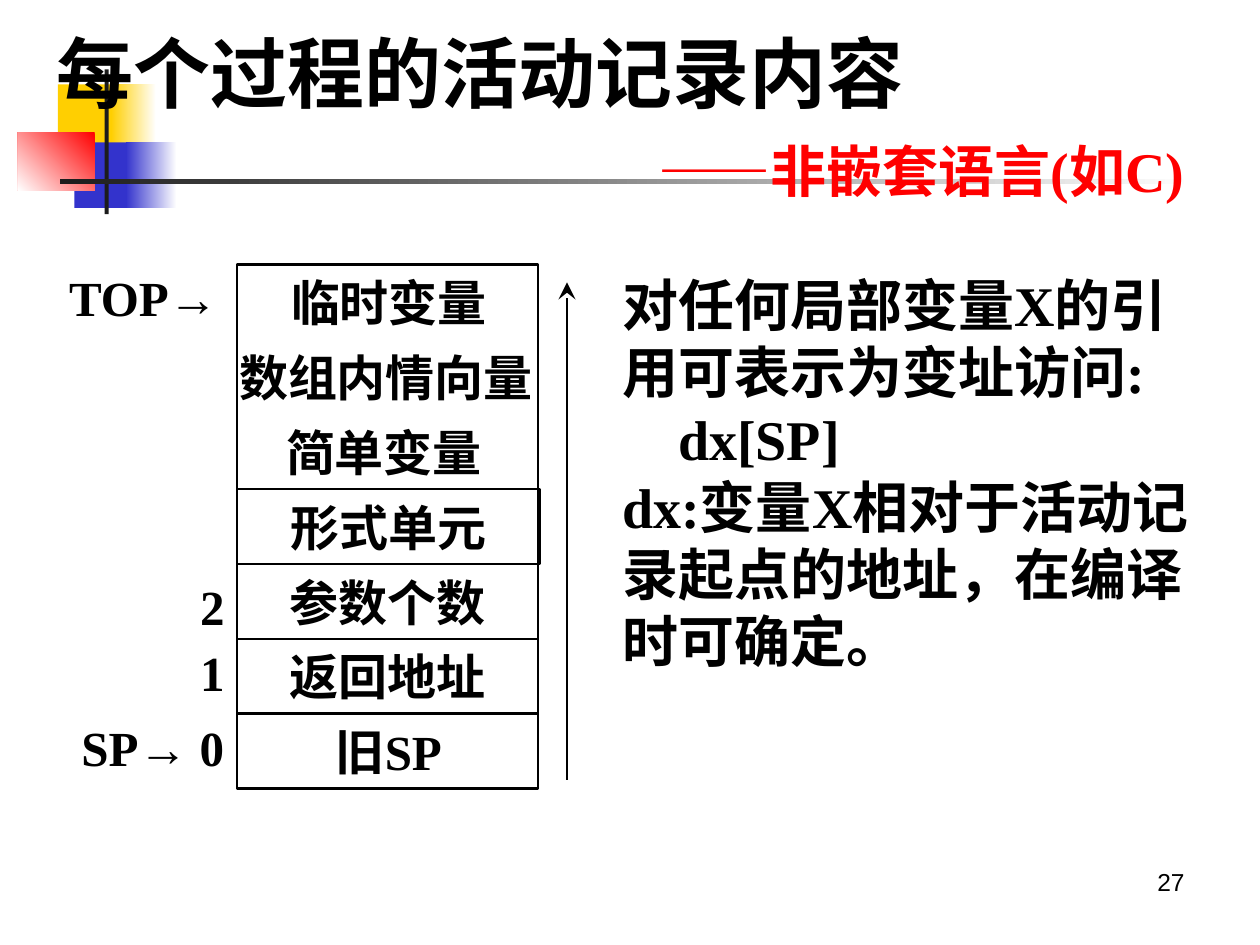
from lxml.etree import SubElement
from pptx import Presentation
from pptx.dml.color import RGBColor
from pptx.enum.shapes import MSO_CONNECTOR, MSO_SHAPE
from pptx.enum.text import MSO_ANCHOR, PP_ALIGN
from pptx.oxml.ns import qn
from pptx.util import Cm, Pt

INK = {"black": "000000", "white": "FFFFFF", "red": "FF0000",
       "gold": "FFCF01", "blue": "3333CC", "dark": "1C1C1C"}
SERIF, SANS = "Times New Roman", "Arial"
LEFT, MID, RIGHT = PP_ALIGN.LEFT, PP_ALIGN.CENTER, PP_ALIGN.RIGHT


def color(name):
    return RGBColor.from_string(INK[name])


def write(shape, lines, size=28, align=MID, anchor=MSO_ANCHOR.MIDDLE,
          wrap=False, font=SERIF, bold=True):
    """Fill a shape with paragraphs; arrows are set in the sans font."""
    frame = shape.text_frame
    frame.word_wrap = wrap
    frame.vertical_anchor = anchor
    if not wrap:
        frame.margin_left = frame.margin_right = 0
    for i, line in enumerate(lines):
        para = frame.add_paragraph() if i else frame.paragraphs[0]
        para.alignment = align
        para.font.size = Pt(size)
        para.font.bold = bold
        para.font.name = font
        para.font.color.rgb = color("black")
        head, arrow, rest = line.partition("→")
        for part in filter(None, (head, arrow, rest)):
            run = para.add_run()
            run.text = part
            if part == "→":
                run.font.name = SANS
    return frame.paragraphs


deck = Presentation()
deck.slide_width, deck.slide_height = Cm(25.4), Cm(19.05)
slide = deck.slides.add_slide(deck.slide_layouts[6])
shapes = slide.shapes

# Corner ornament: left, top, width, height, gradient angle, colours
for x, y, w, h, angle, *tones in [
    (1.17, 1.7, 1.22, 1.32, 0, "gold"),
    (2.24, 1.7, 0.91, 1.32, 180, "white", "gold"),
    (1.5, 2.87, 1.17, 1.32, 0, "blue"),
    (2.54, 2.87, 1.02, 1.32, 180, "white", "blue"),
    (0.36, 2.67, 1.55, 1.17, 225, "red", "white"),
    (2.11, 1.4, 0.08, 2.92, 0, "dark"),
    (1.22, 3.61, 22.86, 0.1, 180, "white", "dark"),
]:
    block = shapes.add_shape(MSO_SHAPE.RECTANGLE, Cm(x), Cm(y), Cm(w), Cm(h))
    block.shadow.inherit = False
    block.line.fill.background()
    if len(tones) == 1:
        block.fill.solid()
        block.fill.fore_color.rgb = color(tones[0])
    else:
        block.fill.gradient()
        block.fill.gradient_angle = angle
        for stop, tone in zip(block.fill.gradient_stops, tones):
            stop.color.rgb = color(tone)

# Title
title = shapes.add_textbox(Cm(0.89), Cm(0.28), Cm(23.24), Cm(4.06))
main, sub = write(title, ["每个过程的活动记录内容", "——非嵌套语言(如C)"],
                  size=44, align=LEFT, wrap=True)
sub.alignment = RIGHT
sub.space_before = Pt(11)
sub.font.size = Pt(32)
sub.font.color.rgb = color("red")

# Activation record: rows stacked at an equal pitch
X, Y, STEP, WIDE = 4.78, 5.33, 1.51, 6.07
rows = [("临时变量", 6.12, False), ("数组内情向量", 6, False),
        ("简单变量", 5.92, False), ("形式单元", 6.1, True),
        ("参数个数", WIDE, True), ("返回地址", WIDE, True),
        ("旧SP", 6.12, False)]
cells = [(Y, WIDE, STEP * len(rows), None)]
for i, (name, w, boxed) in enumerate(rows):
    top = Y + i * STEP
    if boxed:
        cells.append((top, w, STEP, name))
    else:
        label = shapes.add_textbox(Cm(X), Cm(top), Cm(w), Cm(STEP))
        write(label, [name])
for y, w, h, name in cells:
    cell = shapes.add_shape(MSO_SHAPE.RECTANGLE, Cm(X), Cm(y), Cm(w), Cm(h))
    cell.shadow.inherit = False
    cell.fill.background()
    cell.line.color.rgb = color("black")
    cell.line.width = Pt(1.5)
    if name:
        write(cell, [name])

# Pointers and offsets beside the record
for text, x, y, w, align in [
    ("TOP→", 1.29, Y, 3.2, MID),
    ("2", 3.18, 11.56, 1.35, RIGHT),
    ("1", 3.18, 12.88, 1.35, RIGHT),
    ("SP→ 0", 1.48, 14.4, 3.2, MID),
]:
    mark = shapes.add_textbox(Cm(x), Cm(y), Cm(w), Cm(1.32))
    write(mark, [text], align=align)

# Direction of growth
arrow = shapes.add_connector(MSO_CONNECTOR.STRAIGHT,
                             Cm(11.43), Cm(15.72), Cm(11.43), Cm(5.69))
arrow.line.color.rgb = color("black")
arrow.line.width = Pt(1.5)
SubElement(arrow.line._get_or_add_ln(), qn("a:tailEnd"),
           type="stealth", w="lg", len="lg")
SubElement(arrow._element.spPr, qn("a:effectLst"))

# Explanation
note = shapes.add_textbox(Cm(12.29), Cm(5.33), Cm(12.5), Cm(10.8))
paras = write(note, ["对任何局部变量X的引用可表示为变址访问:", "dx[SP]",
                     "dx:变量X相对于活动记录起点的地址，在编译时可确定。"],
              size=32, align=LEFT, anchor=MSO_ANCHOR.TOP, wrap=True)
paras[1]._p.get_or_add_pPr().set("marL", str(Cm(1.13)))

# Page number
page = shapes.add_textbox(Cm(18.21), Cm(17.35), Cm(5.92), Cm(1.32))
write(page, ["27"], size=14, align=RIGHT, anchor=MSO_ANCHOR.TOP,
      wrap=True, font=SANS, bold=False)

deck.save("out.pptx")
